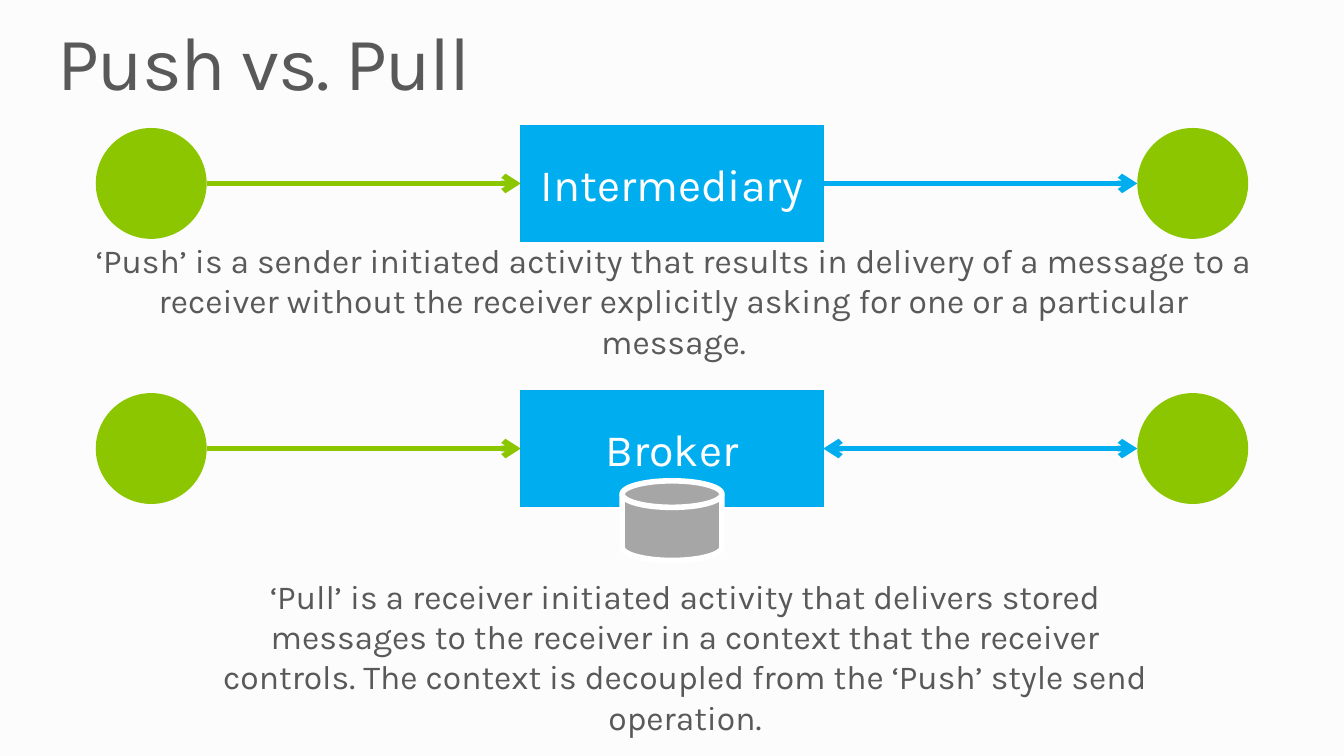
from dataclasses import dataclass

from lxml.etree import SubElement
from pptx import Presentation
from pptx.dml.color import RGBColor
from pptx.enum.shapes import MSO_CONNECTOR, MSO_SHAPE
from pptx.enum.text import MSO_ANCHOR, MSO_AUTO_SIZE, PP_ALIGN
from pptx.oxml.ns import qn
from pptx.util import Inches, Pt

TITLE = "Push vs. Pull"
# hub label, row centre, does the receiver arrow point both ways, has a store
FLOWS = [
    ("Intermediary", 1.82, False, False),
    ("Broker", 4.45, True, True),
]
# text, box, anchor
NOTES = [
    ("‘Push’ is a sender initiated activity that results in delivery of a "
     "message to a receiver without the receiver explicitly asking for one "
     "or a particular message.",
     (0.77, 2.49, 11.82, 0.98), MSO_ANCHOR.MIDDLE),
    ("‘Pull’ is a receiver initiated activity that delivers stored messages "
     "to the receiver in a context that the receiver controls. The context "
     "is decoupled from the ‘Push’ style send operation.",
     (1.93, 5.66, 9.73, 0.81), MSO_ANCHOR.TOP),
]

WIDE, HIGH = 13.33, 7.5
MID = WIDE / 2
NODE = 1.1
EDGE = 0.95
HUB_W, HUB_H = 3, 1.15
DISK_W, DISK_H, DISK_DROP = 0.99, 0.79, 0.32


@dataclass(frozen=True)
class Theme:
    font: str = "Karla"
    back: str = "FCFCFC"
    ink: str = "595959"
    white: str = "FFFFFF"
    green: str = "8CC600"
    blue: str = "00AEEF"
    rim: str = "00AAEA"
    grey: str = "A6A6A6"
    title: int = 54
    label: int = 32
    body: int = 24
    stroke: int = 4


THEME = Theme()


def rgb(code):
    return RGBColor.from_string(code)


def write(frame, text, size, color, align, anchor, pad):
    """Fill a frame with one styled paragraph; pad is (side, top) margins."""
    frame.text = text
    frame.word_wrap = True
    frame.vertical_anchor = anchor
    frame.margin_left = frame.margin_right = Inches(pad[0])
    frame.margin_top = frame.margin_bottom = Inches(pad[1])
    para = frame.paragraphs[0]
    para.alignment = align
    for run in para.runs:
        run.font.name = THEME.font
        run.font.size = Pt(size)
        run.font.color.rgb = rgb(color)
    return para


def block(group, kind, box, fill, rim=None, width=0.75):
    shape = group.shapes.add_shape(kind, *map(Inches, box))
    shape.shadow.inherit = False
    shape.fill.solid()
    shape.fill.fore_color.rgb = rgb(fill)
    if rim:
        shape.line.color.rgb = rgb(rim)
        shape.line.width = Pt(width)
    else:
        shape.line.fill.background()


def arrow(group, start, end, y, color, both=False):
    line = group.shapes.add_connector(
        MSO_CONNECTOR.STRAIGHT, *map(Inches, (start, y, end, y)))
    line.line.color.rgb = rgb(color)
    line.line.width = Pt(THEME.stroke)
    stroke = line.line._get_or_add_ln()
    for tag in ("a:headEnd", "a:tailEnd") if both else ("a:tailEnd",):
        SubElement(stroke, qn(tag), type="arrow")
    SubElement(line._element.spPr, qn("a:effectLst"))


def draw_title(slide):
    title = slide.shapes.title
    title.left, title.top, title.width, title.height = map(
        Inches, (0.57, 0.25, 12.19, 0.82))
    para = write(title.text_frame, TITLE, THEME.title, THEME.ink,
                 PP_ALIGN.LEFT, MSO_ANCHOR.TOP, (0, 0))
    title.text_frame.auto_size = MSO_AUTO_SIZE.SHAPE_TO_FIT_TEXT
    para.line_spacing = 0.9
    para.runs[0].font._element.set("spc", "-100")


def draw_flow(slide, label, y, both, store):
    group = slide.shapes.add_group_shape()
    right = WIDE - EDGE - NODE
    for x in (EDGE, right):
        block(group, MSO_SHAPE.OVAL, (x, y - NODE / 2, NODE, NODE), THEME.green)

    hub = MID - HUB_W / 2
    arrow(group, EDGE + NODE, hub, y, THEME.green)
    arrow(group, hub + HUB_W, right, y, THEME.blue, both)
    block(group, MSO_SHAPE.RECTANGLE, (hub, y - HUB_H / 2, HUB_W, HUB_H),
          THEME.blue, THEME.rim)

    inset = 0.15
    box = (hub + inset, y - HUB_H / 2 + inset,
           HUB_W - 2 * inset, HUB_H - 2 * inset)
    name = group.shapes.add_textbox(*map(Inches, box))
    write(name.text_frame, label, THEME.label, THEME.white,
          PP_ALIGN.CENTER, MSO_ANCHOR.MIDDLE, (0, 0.05))
    if store:
        block(group, MSO_SHAPE.FLOWCHART_MAGNETIC_DISK,
              (MID - DISK_W / 2, y + DISK_DROP, DISK_W, DISK_H),
              THEME.grey, THEME.white, THEME.stroke)


def main():
    deck = Presentation()
    deck.slide_width, deck.slide_height = Inches(WIDE), Inches(HIGH)
    slide = deck.slides.add_slide(deck.slide_layouts[5])
    slide.background.fill.solid()
    slide.background.fill.fore_color.rgb = rgb(THEME.back)

    draw_title(slide)
    for flow in FLOWS:
        draw_flow(slide, *flow)
    for text, box, anchor in NOTES:
        note = slide.shapes.add_textbox(*map(Inches, box))
        write(note.text_frame, text, THEME.body, THEME.ink,
              PP_ALIGN.CENTER, anchor, (0.1, 0.05))
    deck.save("out.pptx")


if __name__ == "__main__":
    main()
